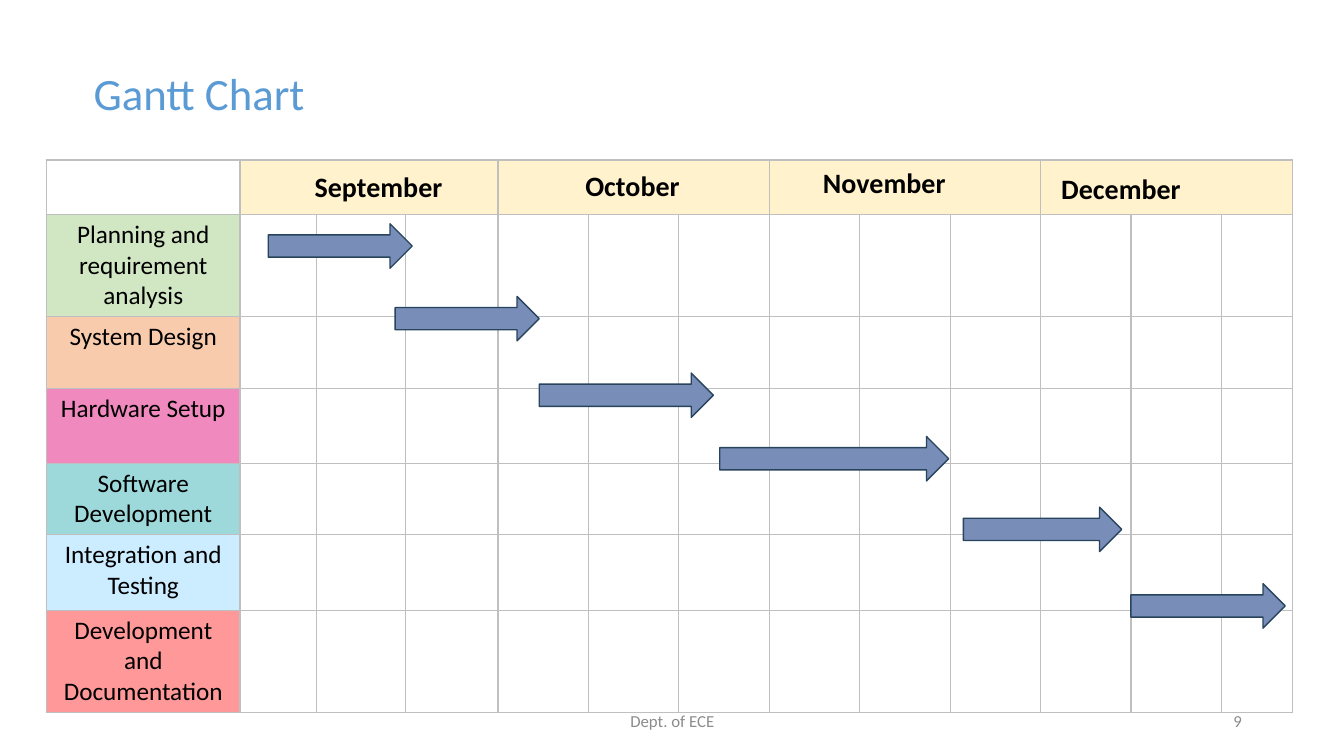
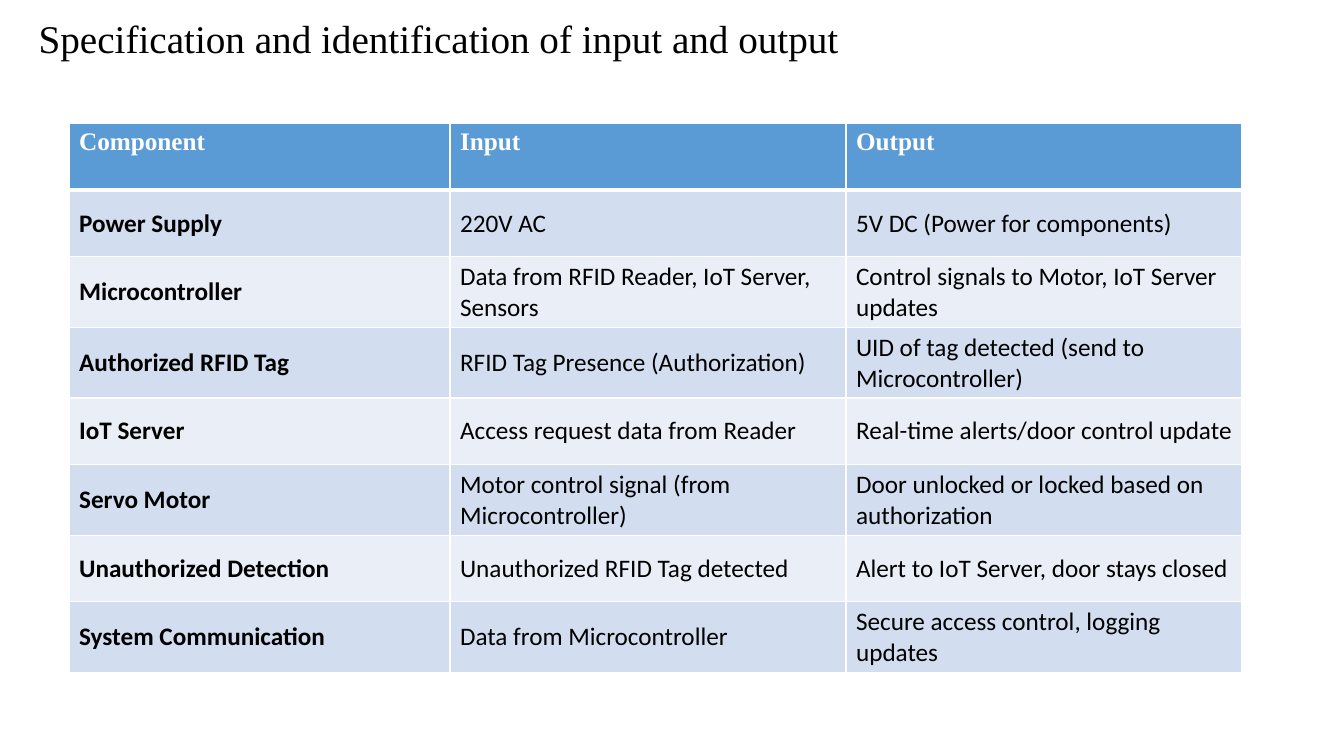
from dataclasses import dataclass

from lxml import etree
from pptx import Presentation
from pptx.dml.color import RGBColor
from pptx.enum.shapes import MSO_SHAPE
from pptx.enum.text import MSO_ANCHOR, PP_ALIGN
from pptx.oxml.ns import qn
from pptx.slide import Slide
from pptx.table import Table, _Cell
from pptx.text.text import TextFrame
from pptx.util import Cm, Pt

LEFT, CENTER, RIGHT = PP_ALIGN.LEFT, PP_ALIGN.CENTER, PP_ALIGN.RIGHT
TOP, MIDDLE = MSO_ANCHOR.TOP, MSO_ANCHOR.MIDDLE
RIGHT_ARROW = MSO_SHAPE.RIGHT_ARROW
SIDES = ("lnL", "lnR", "lnT", "lnB")


@dataclass(frozen=True)
class Theme:
    sans: str = "Calibri"
    serif: str = "Times New Roman"
    black: str = "000000"
    white: str = "FFFFFF"
    blue: str = "5B9BD5"
    grey: str = "8C8C8C"
    grid: str = "BFBFBF"
    month: str = "FFF2CC"
    arrow: str = "788DB8"
    arrow_line: str = "28445D"
    bands: tuple[str, str] = ("D2DEEF", "EAEFF7")
    title: int = 32
    long_title: int = 28
    heading: int = 20
    body: int = 18
    footer: int = 12


THEME = Theme()


@dataclass(frozen=True)
class Style:
    size: int = THEME.body
    color: str = THEME.black
    font: str = THEME.sans
    bold: bool = False
    align: PP_ALIGN = LEFT


@dataclass(frozen=True)
class Label:
    text: str
    left: float
    top: float
    width: float
    height: float
    style: Style
    anchor: MSO_ANCHOR = TOP


@dataclass(frozen=True)
class Month:
    name: str
    left: float
    top: float
    width: float


@dataclass(frozen=True)
class Task:
    name: str
    color: str
    row_height: float
    left: float
    top: float
    width: float


BAR_HEIGHT = 1.12
BODY = Style()
BODY_BOLD = Style(bold=True)
TASK_STYLE = Style(align=CENTER)
MONTH_STYLE = Style(THEME.heading, bold=True, align=CENTER)
TABLE_HEAD = Style(color=THEME.white, font=THEME.serif, bold=True)
FOOTER_STYLE = Style(THEME.footer, THEME.grey, align=CENTER)
NUMBER_STYLE = Style(THEME.footer, THEME.grey, align=RIGHT)

GANTT_LABELS = (
    Label("Gantt Chart", 2.36, 1.52, 21.29, 1.63, Style(THEME.title, THEME.blue)),
    Label("Dept. of ECE", 11.23, 17.65, 11.43, 1.02, FOOTER_STYLE, MIDDLE),
    Label("9", 23.93, 17.65, 7.37, 1.02, NUMBER_STYLE, MIDDLE),
)
SPEC_TITLE = Label("Specification and identification of input and output",
                   0.36, 0.23, 21.39, 1.45,
                   Style(THEME.long_title, font=THEME.serif, align=CENTER))

MONTHS = (
    Month("September", 7.52, 4.14, 4.04),
    Month("October", 14.48, 4.11, 2.92),
    Month("November", 20.47, 4.04, 3.63),
    Month("December", 26.47, 4.19, 3.56),
)
TASKS = (
    Task("Planning and requirement analysis", "D1E6C3", 1.98, 6.76, 5.64, 3.63),
    Task("System Design", "F8CBAD", 1.8, 9.96, 7.47, 3.63),
    Task("Hardware Setup", "EF89BE", 1.89, 13.59, 9.4, 4.39),
    Task("Software Development", "9DD8DB", 1.7, 18.14, 11, 5.77),
    Task("Integration and Testing", "CCECFF", 1.9, 24.28, 12.78, 3.99),
    Task("Development and Documentation", "FF9999", 1.98, 28.5, 14.71, 3.89),
)
GANTT_WIDTHS = [4.88, 1.93, 2.24, 2.33] + [2.28] * 8 + [1.78]
COLUMNS_PER_MONTH = 3

COMPONENTS = (
    ("Component", "Input", "Output"),
    ("Power Supply", "220V AC", "5V DC (Power for components)"),
    ("Microcontroller", "Data from RFID Reader, IoT Server, Sensors",
     "Control signals to Motor, IoT Server updates"),
    ("Authorized RFID Tag", "RFID Tag Presence (Authorization)",
     "UID of tag detected (send to Microcontroller)"),
    ("IoT Server", "Access request data from Reader",
     "Real-time alerts/door control update"),
    ("Servo Motor", "Motor control signal (from Microcontroller)",
     "Door unlocked or locked based on authorization"),
    ("Unauthorized Detection", "Unauthorized RFID Tag detected",
     "Alert to IoT Server, door stays closed"),
    ("System Communication", "Data from Microcontroller",
     "Secure access control, logging updates"),
)


def rgb(color: str) -> RGBColor:
    return RGBColor.from_string(color)


def write(tf: TextFrame, text: str, style: Style) -> None:
    tf.text = text
    p = tf.paragraphs[0]
    p.alignment = style.align
    for r in p.runs:
        r.font.name = style.font
        r.font.size = Pt(style.size)
        r.font.bold = style.bold
        r.font.color.rgb = rgb(style.color)


def add_label(s: Slide, label: Label) -> None:
    sp = s.shapes.add_textbox(Cm(label.left), Cm(label.top),
                              Cm(label.width), Cm(label.height))
    tf = sp.text_frame
    tf.word_wrap = True
    tf.margin_left = tf.margin_right = 0
    tf.vertical_anchor = label.anchor
    write(tf, label.text, label.style)


def add_arrow(s: Slide, task: Task) -> None:
    sp = s.shapes.add_shape(RIGHT_ARROW, Cm(task.left), Cm(task.top),
                            Cm(task.width), Cm(BAR_HEIGHT))
    sp.shadow.inherit = False
    sp.fill.solid()
    sp.fill.fore_color.rgb = rgb(THEME.arrow)
    sp.line.color.rgb = rgb(THEME.arrow_line)
    sp.line.width = Pt(1)


def add_grid(s: Slide, left: float, top: float,
             widths: list[float], heights: list[float]) -> Table:
    table = s.shapes.add_table(len(heights), len(widths), Cm(left), Cm(top),
                               Cm(sum(widths)), Cm(sum(heights))).table
    table.first_row = table.horz_banding = False
    for column, width in zip(table.columns, widths):
        column.width = Cm(width)
    for row, height in zip(table.rows, heights):
        row.height = Cm(height)
    return table


def set_borders(cell: _Cell, color: str, thick_side: str = "") -> None:
    tc_pr = cell._tc.get_or_add_tcPr()
    for side in SIDES:
        width = Pt(3 if side == thick_side else 1)
        ln = etree.SubElement(tc_pr, qn(f"a:{side}"), w=str(width))
        fill = etree.SubElement(ln, qn("a:solidFill"))
        etree.SubElement(fill, qn("a:srgbClr"), val=color)


def set_fill(cell: _Cell, color: str) -> None:
    cell.fill.solid()
    cell.fill.fore_color.rgb = rgb(color)


def build_gantt(s: Slide) -> None:
    heights = [1.37] + [task.row_height for task in TASKS]
    table = add_grid(s, 1.17, 4.03, GANTT_WIDTHS, heights)
    for cell in table.iter_cells():
        set_borders(cell, THEME.grid)
        cell.fill.background()
    set_fill(table.cell(0, 0), THEME.white)
    for i, month in enumerate(MONTHS):
        first = 1 + i * COLUMNS_PER_MONTH
        cell = table.cell(0, first)
        cell.merge(table.cell(0, first + COLUMNS_PER_MONTH - 1))
        set_fill(cell, THEME.month)
        add_label(s, Label(month.name, month.left, month.top, month.width,
                           BAR_HEIGHT, MONTH_STYLE))
    for i, task in enumerate(TASKS, 1):
        cell = table.cell(i, 0)
        set_fill(cell, task.color)
        write(cell.text_frame, task.name, TASK_STYLE)
        add_arrow(s, task)
    for label in GANTT_LABELS:
        add_label(s, label)


def build_components(s: Slide) -> None:
    table = add_grid(s, 1.74, 3.11, [9.6, 9.98, 9.98], [1.68] * len(COMPONENTS))
    thick_sides = {0: "lnB", 1: "lnT"}
    for i, texts in enumerate(COMPONENTS):
        for j, text in enumerate(texts):
            cell = table.cell(i, j)
            set_borders(cell, THEME.white, thick_sides.get(i, ""))
            if i == 0:
                set_fill(cell, THEME.blue)
                write(cell.text_frame, text, TABLE_HEAD)
            else:
                set_fill(cell, THEME.bands[(i - 1) % 2])
                cell.vertical_anchor = MIDDLE
                write(cell.text_frame, text, BODY if j else BODY_BOLD)
    add_label(s, SPEC_TITLE)


def main() -> None:
    prs = Presentation()
    prs.slide_width, prs.slide_height = Cm(33.87), Cm(19.05)
    blank = prs.slide_layouts[6]
    for build in (build_gantt, build_components):
        build(prs.slides.add_slide(blank))
    prs.save("out.pptx")


if __name__ == "__main__":
    main()
